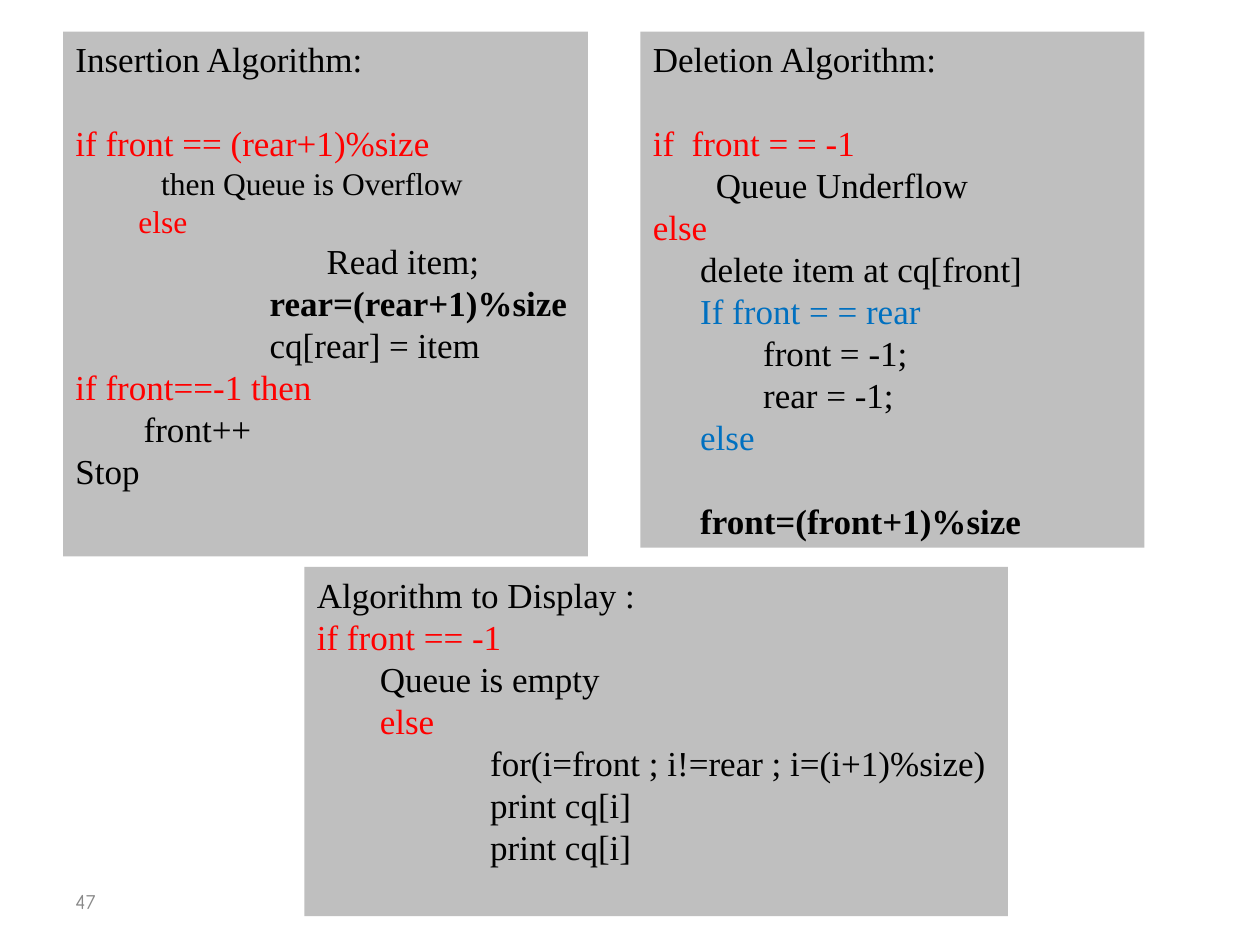
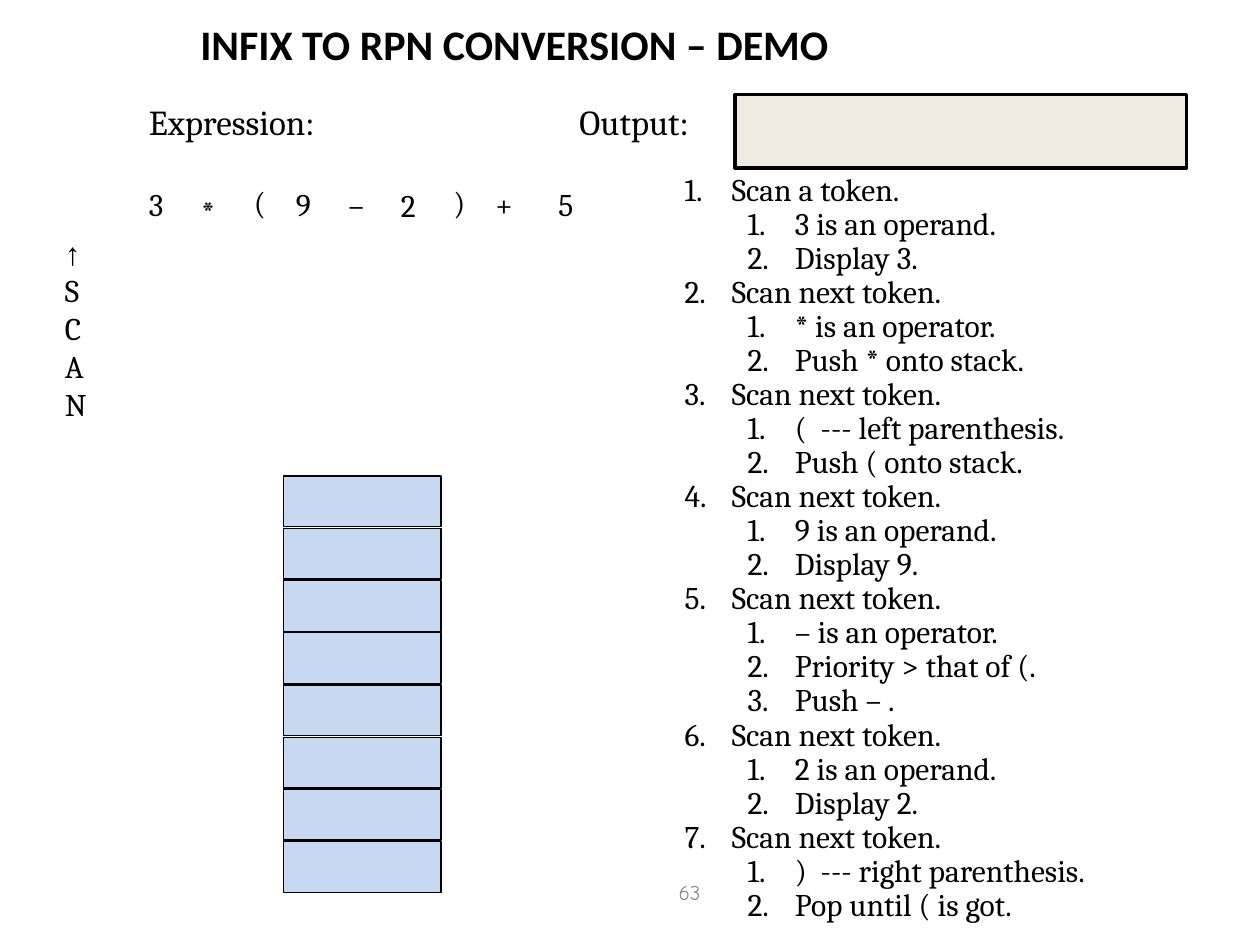
"""Build two slides: circular queue algorithms and an infix to RPN demo."""
from lxml import etree
from pptx import Presentation
from pptx.dml.color import RGBColor
from pptx.enum.shapes import MSO_SHAPE
from pptx.enum.text import MSO_ANCHOR, MSO_AUTO_SIZE, PP_ALIGN
from pptx.oxml.ns import qn
from pptx.util import Pt

RECTANGLE = MSO_SHAPE.RECTANGLE
TOP, MIDDLE = MSO_ANCHOR.TOP, MSO_ANCHOR.MIDDLE
LEFT, CENTER = PP_ALIGN.LEFT, PP_ALIGN.CENTER
NO_AUTOFIT = MSO_AUTO_SIZE.NONE

BLACK = RGBColor(0x00, 0x00, 0x00)
RED = RGBColor(0xFF, 0x00, 0x00)
BLUE = RGBColor(0x00, 0x70, 0xC0)
NUMBER_GRAY = RGBColor(0x89, 0x89, 0x89)
PANEL_GRAY = RGBColor(0xBF, 0xBF, 0xBF)
STACK_BLUE = RGBColor(0xC6, 0xD9, 0xF1)
OUTPUT_CREAM = RGBColor(0xEE, 0xEC, 0xE1)

TITLE_FONT = "Calibri"
DEMO_FONT = "Cambria"
CODE_FONT = "Times New Roman"
NUMBER_FONT = "Comic Neue"
CODE_LINE = 24

INSERTION = [
    ("Insertion Algorithm:", 0, {}),
    ("if front == (rear+1)%size", 0, {"color": RED, "before": CODE_LINE}),
    ("then Queue is Overflow", 49, {"size": 18}),
    ("else", 36, {"color": RED, "size": 18}),
    ("Read item;", 143.5, {}),
    ("rear=(rear+1)%size", 111, {"bold": True}),
    ("cq[rear] = item", 111, {}),
    ("if front==-1 then", 0, {"color": RED}),
    ("front++", 39, {}),
    ("Stop", 0, {}),
]
DELETION = [
    ("Deletion Algorithm:", 0, {}),
    ("if  front = = -1", 0, {"color": RED, "before": CODE_LINE}),
    ("Queue Underflow", 36, {}),
    ("else", 0, {"color": RED}),
    ("delete item at cq[front]", 27, {}),
    ("If front = = rear", 27, {"color": BLUE}),
    ("front = -1;", 63, {}),
    ("rear = -1;", 63, {}),
    ("else", 27, {"color": BLUE}),
    ("front=(front+1)%size", 27, {"bold": True, "before": CODE_LINE}),
]
DISPLAY = [
    ("Algorithm to Display :", 0, {}),
    ("if front == -1", 0, {"color": RED}),
    ("Queue is empty", 36, {}),
    ("else", 36, {"color": RED}),
    ("for(i=front ; i!=rear ; i=(i+1)%size)", 99, {}),
    ("print cq[i]", 99, {}),
    ("print cq[i]", 99, {}),
]
TOKENS = [
    ("3", 78, 102), ("*", 108, 106), ("(", 138, 101),
    ("9", 162, 102), ("–", 192, 102), ("2", 222, 103),
    (")", 252, 101), ("+", 276, 102), ("5", 312, 102),
]
STEPS = [
    ("Scan a token.", ["3 is an operand.", "Display 3."]),
    ("Scan next token.", ["* is an operator.", "Push * onto stack."]),
    ("Scan next token.", ["(  --- left parenthesis.", "Push ( onto stack."]),
    ("Scan next token.", ["9 is an operand.", "Display 9."]),
    ("Scan next token.",
     ["– is an operator.", "Priority > that of (.", "Push – ."]),
    ("Scan next token.", ["2 is an operand.", "Display 2."]),
    ("Scan next token.", [")  --- right parenthesis.", "Pop until ( is got."]),
]


def format_run(run, font, size, color=BLACK, bold=False):
    """Set the typeface, size, colour and weight of a run."""
    run.font.name = font
    run.font.size = Pt(size)
    run.font.color.rgb = color
    run.font.bold = bold


def place(shape, left, top, width, height):
    """Move and size a shape, in points."""
    shape.left, shape.top = Pt(left), Pt(top)
    shape.width, shape.height = Pt(width), Pt(height)


def next_paragraph(text_frame, index):
    """Return the first paragraph, or a new one after it."""
    return text_frame.add_paragraph() if index else text_frame.paragraphs[0]


def add_box(shapes, left, top, width, height, fill, line_width=0):
    """Add a filled rectangle, outlined in black if it has a line width."""
    box = shapes.add_shape(RECTANGLE, Pt(left), Pt(top), Pt(width), Pt(height))
    box.shadow.inherit = False
    box.fill.solid()
    box.fill.fore_color.rgb = fill
    if line_width:
        box.line.color.rgb = BLACK
        box.line.width = Pt(line_width)
    else:
        box.line.fill.background()
    return box


def add_label(slide, text, left, top, width, height, size, font=DEMO_FONT,
              color=BLACK, anchor=TOP, align=LEFT):
    """Add a wrapped text box with one line of text and return its paragraph."""
    label = slide.shapes.add_textbox(Pt(left), Pt(top), Pt(width), Pt(height))
    text_frame = label.text_frame
    text_frame.word_wrap = True
    text_frame.vertical_anchor = anchor
    text_frame.text = text
    paragraph = text_frame.paragraphs[0]
    paragraph.alignment = align
    format_run(paragraph.runs[0], font, size, color)
    return paragraph


def add_slide_number(slide, number, left, top, width, height, align=LEFT):
    """Add the gray slide number."""
    add_label(slide, number, left, top, width, height, 12, NUMBER_FONT,
              NUMBER_GRAY, MIDDLE, align)


def add_algorithm(slide, lines, left, top, width, height):
    """Add a gray panel of indented pseudocode lines."""
    panel = add_box(slide.shapes, left, top, width, height, PANEL_GRAY)
    text_frame = panel.text_frame
    text_frame.word_wrap = True
    text_frame.vertical_anchor = TOP
    for index, (text, indent, style) in enumerate(lines):
        paragraph = next_paragraph(text_frame, index)
        paragraph.text = text
        paragraph.alignment = LEFT
        paragraph.space_before = Pt(style.get("before", 0))
        paragraph._p.get_or_add_pPr().set("marL", str(Pt(indent)))
        format_run(paragraph.runs[0], CODE_FONT, style.get("size", 20),
                   style.get("color", BLACK), style.get("bold", False))


def number_paragraph(paragraph, level):
    """Give a paragraph an automatic number and a hanging indent."""
    paragraph.level = level
    properties = paragraph._p.get_or_add_pPr()
    properties.set("marL", str(Pt(27 + 36 * level)))
    properties.set("indent", str(Pt(-27)))
    color = etree.SubElement(properties, qn("a:buClr"))
    etree.SubElement(color, qn("a:srgbClr"), val=str(BLACK))
    etree.SubElement(properties, qn("a:buFont"), typeface=DEMO_FONT)
    etree.SubElement(properties, qn("a:buAutoNum"), type="arabicPeriod")


def fill_steps(body, steps):
    """Write the two-level numbered list into the body placeholder."""
    text_frame = body.text_frame
    text_frame.auto_size = NO_AUTOFIT
    entries = [entry for step, actions in steps
               for entry in [(step, 0)] + [(action, 1) for action in actions]]
    for index, (text, level) in enumerate(entries):
        paragraph = next_paragraph(text_frame, index)
        paragraph.text = text
        paragraph.line_spacing = 0.9
        paragraph.space_before = Pt(0)
        number_paragraph(paragraph, level)
        format_run(paragraph.runs[0], DEMO_FONT, 18)


def fill_title(title, text):
    """Write the centred bold title."""
    text_frame = title.text_frame
    text_frame.auto_size = NO_AUTOFIT
    text_frame.vertical_anchor = MIDDLE
    text_frame.text = text
    paragraph = text_frame.paragraphs[0]
    paragraph.alignment = CENTER
    format_run(paragraph.runs[0], TITLE_FONT, 24, bold=True)


def add_stack(slide, count):
    """Add the empty stack as a group of equally spaced cells."""
    stack = slide.shapes.add_group_shape()
    for index in range(count):
        add_box(stack.shapes, 162, 272 + 29.85 * index, 90, 29, STACK_BLUE, 0.75)


def build_queue_slide(presentation):
    """Build the slide with the three circular queue algorithms."""
    slide = presentation.slides.add_slide(presentation.slide_layouts[6])
    add_slide_number(slide, "47", 36, 500.5, 168, 29)
    add_algorithm(slide, INSERTION, 36, 18, 300, 300)
    add_algorithm(slide, DELETION, 366, 18, 288, 295)
    add_algorithm(slide, DISPLAY, 174, 324, 402, 199.5)


def build_conversion_slide(presentation):
    """Build the slide with the infix to RPN demo."""
    slide = presentation.slides.add_slide(presentation.slide_layouts[1])
    title, body = slide.placeholders
    place(title, 0, 6, 588, 38)
    fill_title(title, "INFIX TO RPN CONVERSION – DEMO")
    place(body, 384, 96, 336, 444)
    fill_steps(body, STEPS)
    add_slide_number(slide, "63", 280, 492, 228, 36, CENTER)
    add_stack(slide, 8)
    add_box(slide.shapes, 420, 54, 258, 42, OUTPUT_CREAM, 2)
    add_label(slide, "Expression:", 78, 54, 126, 32, 20)
    add_label(slide, "Output:", 324, 54, 126, 32, 20)
    for token, left, top in TOKENS:
        add_label(slide, token, left, top, 30, 29, 18)
    scan = add_label(slide, "↑", 30, 130, 24, 115, 18, "Arial")
    word = scan.add_run()
    word.text = "SCAN"
    format_run(word, DEMO_FONT, 18)


def main():
    """Build and save the presentation."""
    presentation = Presentation()
    presentation.slide_width, presentation.slide_height = Pt(720), Pt(540)
    build_queue_slide(presentation)
    build_conversion_slide(presentation)
    presentation.save("out.pptx")


if __name__ == "__main__":
    main()
